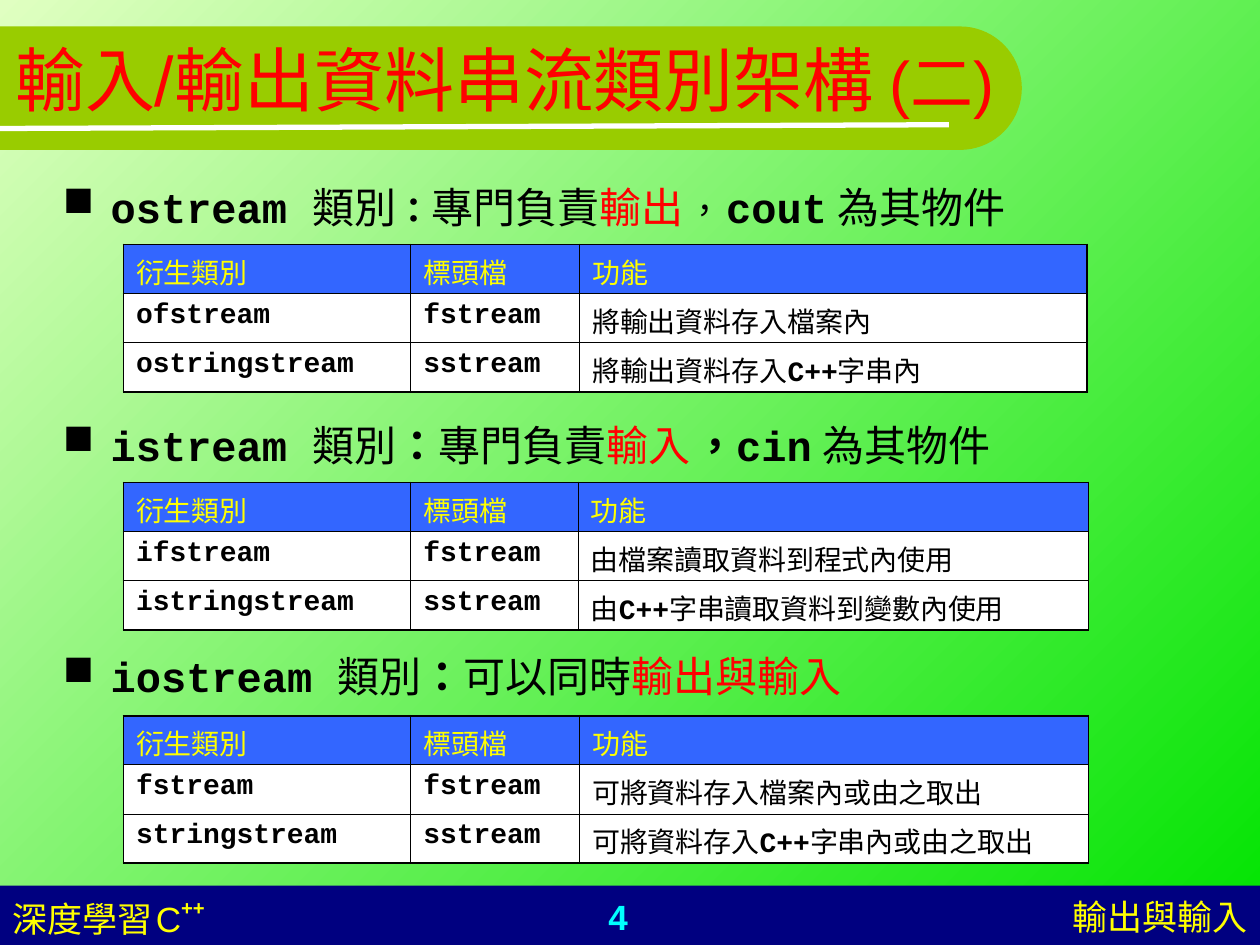
import math

import pptx
import pptx.dml.color
import pptx.enum.shapes
import pptx.enum.text
import pptx.oxml.ns
import pptx.util
from lxml import etree
from pptx.util import Inches

COLORS = {
    "pale": "E0FFC1", "green": "00E400", "banner": "99CC00", "navy": "000080",
    "blue": "3366FF", "red": "FF0000", "yellow": "FFFF00", "cyan": "00FFFF",
    "white": "FFFFFF", "black": "000000",
}
MONO, CJK = "Courier New", "Noto Sans CJK SC"
qn = pptx.oxml.ns.qn
align = pptx.enum.text.PP_ALIGN


def rgb(name):
    return pptx.dml.color.RGBColor.from_string(COLORS[name])


def write(paragraph, name, size, color, runs):
    """Fill a paragraph; each run is its text and the settings that differ."""
    paragraph.font.name = name
    paragraph.font.size = pptx.util.Pt(size)
    paragraph.font.color.rgb = rgb(color)
    for text, changes in runs:
        run = paragraph.add_run()
        run.text = text
        run.font.bold = changes.get("bold", False)
        if "size" in changes:
            run.font.size = pptx.util.Pt(changes["size"])
        if "color" in changes:
            run.font.color.rgb = rgb(changes["color"])
        if "name" in changes:
            run.font.name = changes["name"]
        properties = run.font._element
        properties.set("lang", "zh-TW")
        if "baseline" in changes:
            properties.set("baseline", changes["baseline"])
        east_asian = etree.SubElement(properties, qn("a:ea"))
        east_asian.set("typeface", CJK)


presentation = pptx.Presentation()
presentation.slide_width, presentation.slide_height = Inches(10), Inches(7.5)
slide = presentation.slides.add_slide(presentation.slide_layouts[5])
shapes = slide.shapes

# Background gradient
background = slide.background.fill
background.gradient()
background.gradient_angle = 315
for stop, color, position in zip(background.gradient_stops, ("pale", "green"), (0, 1)):
    stop.color.rgb = rgb(color)
    stop.position = position

# Footer bar and title banner with a half-round right end
footer_bar = shapes.add_shape(pptx.enum.shapes.MSO_SHAPE.RECTANGLE,
                              Inches(0), Inches(7.03), Inches(10), Inches(0.47))
radius, center_x, center_y = 0.49, 7.62, 0.7
angles = [math.radians(degree) for degree in range(-90, 91, 5)]
outline = [(Inches(center_x + radius * math.cos(angle)),
            Inches(center_y + radius * math.sin(angle))) for angle in angles]
builder = shapes.build_freeform(0, Inches(center_y - radius))
builder.add_line_segments(outline + [(0, Inches(center_y + radius))])
banner = builder.convert_to_shape()
for shape, color in ((footer_bar, "navy"), (banner, "banner")):
    shape.shadow.inherit = False
    shape.fill.solid()
    shape.fill.fore_color.rgb = rgb(color)
    shape.line.fill.background()

underline = shapes.add_connector(pptx.enum.shapes.MSO_CONNECTOR.STRAIGHT,
                                 Inches(0), Inches(1.02), Inches(7.53), Inches(0.99))
underline.line.color.rgb = rgb("white")
underline.line.width = pptx.util.Pt(3)
etree.SubElement(underline._element.spPr, qn("a:effectLst"))

# Title
title = shapes.title
title.left, title.top, title.width, title.height = (
    Inches(0.02), Inches(0), Inches(9), Inches(1.25))
title.text_frame.vertical_anchor = pptx.enum.text.MSO_ANCHOR.MIDDLE
title.text_frame.auto_size = pptx.enum.text.MSO_AUTO_SIZE.NONE
title.text_frame.paragraphs[0].alignment = align.LEFT
write(title.text_frame.paragraphs[0], "Arial", 40, "red",
      [("輸入/輸出資料串流類別架構 ", {}), ("(二)", {"size": 36})])
shapes._spTree.append(title._element)

# Footer texts
footers = [
    (0, 2.33, align.LEFT, "yellow",
     [("深度學習", {}), (" ", {"size": 8}), ("C", {}),
      ("++", {"bold": True, "baseline": "46000"})]),
    (3.74, 2.33, align.CENTER, "cyan", [("4", {"bold": True})]),
    (6.57, 3.43, align.RIGHT, "yellow", [("輸出與輸入", {})]),
]
for left, width, alignment, color, runs in footers:
    box = shapes.add_textbox(Inches(left), Inches(7.06), Inches(width), Inches(0.44))
    box.text_frame.word_wrap = True
    box.text_frame.paragraphs[0].alignment = alignment
    write(box.text_frame.paragraphs[0], "Arial", 20, color, runs)

# Sections: heading top, heading runs, table top, column widths, table body
bold, red, gap = {"bold": True}, {"color": "red"}, (" ", {"size": 10})
small_bold = {"bold": True, "size": 20}
sections = [
    (1.39, [("ostream ", bold), ("類別", {}), ("：", small_bold), ("專門負責", {}),
            ("輸出", red), gap, ("，", {"size": 20}), gap, ("cout", bold), gap,
            ("為其物件", {})],
     1.94, (2.28, 1.34, 4.03),
     [("ofstream", "fstream", ["將輸出資料存入檔案內"]),
      ("ostringstream", "sstream", ["將輸出資料存入", "C++", "字串內"])]),
    (3.28, [("istream ", bold), ("類別", {}), ("：", bold), ("專門負責", {}),
            ("輸入", red), gap, ("，", bold), ("cin", bold), gap, ("為其物件", {})],
     3.83, (2.28, 1.33, 4.05),
     [("ifstream", "fstream", ["由檔案讀取資料到程式內使用"]),
      ("istringstream", "sstream", ["由", "C++", "字串讀取資料到變數內使用"])]),
    (5.11, [("iostream ", bold), ("類別", {}), ("：", bold), ("可以同時", {}),
            ("輸出與輸入", red)],
     5.68, (2.28, 1.34, 4.04),
     [("fstream", "fstream", ["可將資料存入檔案內或由之取出"]),
      ("stringstream", "sstream", ["可將資料存入", "C++", "字串內或由之取出"])]),
]
header = ("衍生類別", "標頭檔", ["功能"])
row_height = 0.39

for heading_top, heading, table_top, widths, body in sections:
    # Bulleted heading
    box = shapes.add_textbox(Inches(0.4), Inches(heading_top), Inches(9), Inches(0.55))
    box.text_frame.word_wrap = True
    paragraph = box.text_frame.paragraphs[0]
    properties = paragraph._p.get_or_add_pPr()
    properties.set("marL", str(Inches(0.38)))
    properties.set("indent", str(-Inches(0.38)))
    bullet_color = etree.SubElement(properties, qn("a:buClr"))
    etree.SubElement(bullet_color, qn("a:srgbClr")).set("val", COLORS["black"])
    etree.SubElement(properties, qn("a:buChar")).set("char", "■")
    write(paragraph, MONO, 24, "black", heading)

    # Class table
    rows = [header] + body
    table = shapes.add_table(len(rows), len(widths), Inches(0.98), Inches(table_top),
                             Inches(sum(widths)), Inches(row_height * len(rows))).table
    table.horz_banding = False
    for column, width in zip(table.columns, widths):
        column.width = Inches(width)
    for row_index, row in enumerate(rows):
        table.rows[row_index].height = Inches(row_height)
        for column_index, content in enumerate(row):
            cell = table.cell(row_index, column_index)
            cell_properties = cell._tc.get_or_add_tcPr()
            outer_edges = (("a:lnL", column_index == 0),
                           ("a:lnR", column_index == len(widths) - 1),
                           ("a:lnT", row_index == 0),
                           ("a:lnB", row_index == len(rows) - 1))
            for tag, is_outer in outer_edges:
                border = etree.SubElement(cell_properties, qn(tag))
                border.set("w", str(pptx.util.Pt(1.08 if is_outer else 0.45)))
                fill = etree.SubElement(border, qn("a:solidFill"))
                etree.SubElement(fill, qn("a:srgbClr")).set("val", COLORS["black"])
            is_header = row_index == 0
            cell.fill.solid()
            cell.fill.fore_color.rgb = rgb("blue" if is_header else "white")
            if is_header:
                cell.vertical_anchor = pptx.enum.text.MSO_ANCHOR.MIDDLE
            is_code = not is_header and column_index < 2
            parts = [content] if isinstance(content, str) else content
            runs = [(part, {"bold": True, "name": MONO} if part == "C++"
                     else {"bold": is_code}) for part in parts]
            write(cell.text_frame.paragraphs[0], MONO if is_code else CJK, 16,
                  "yellow" if is_header else "black", runs)

presentation.save("out.pptx")
